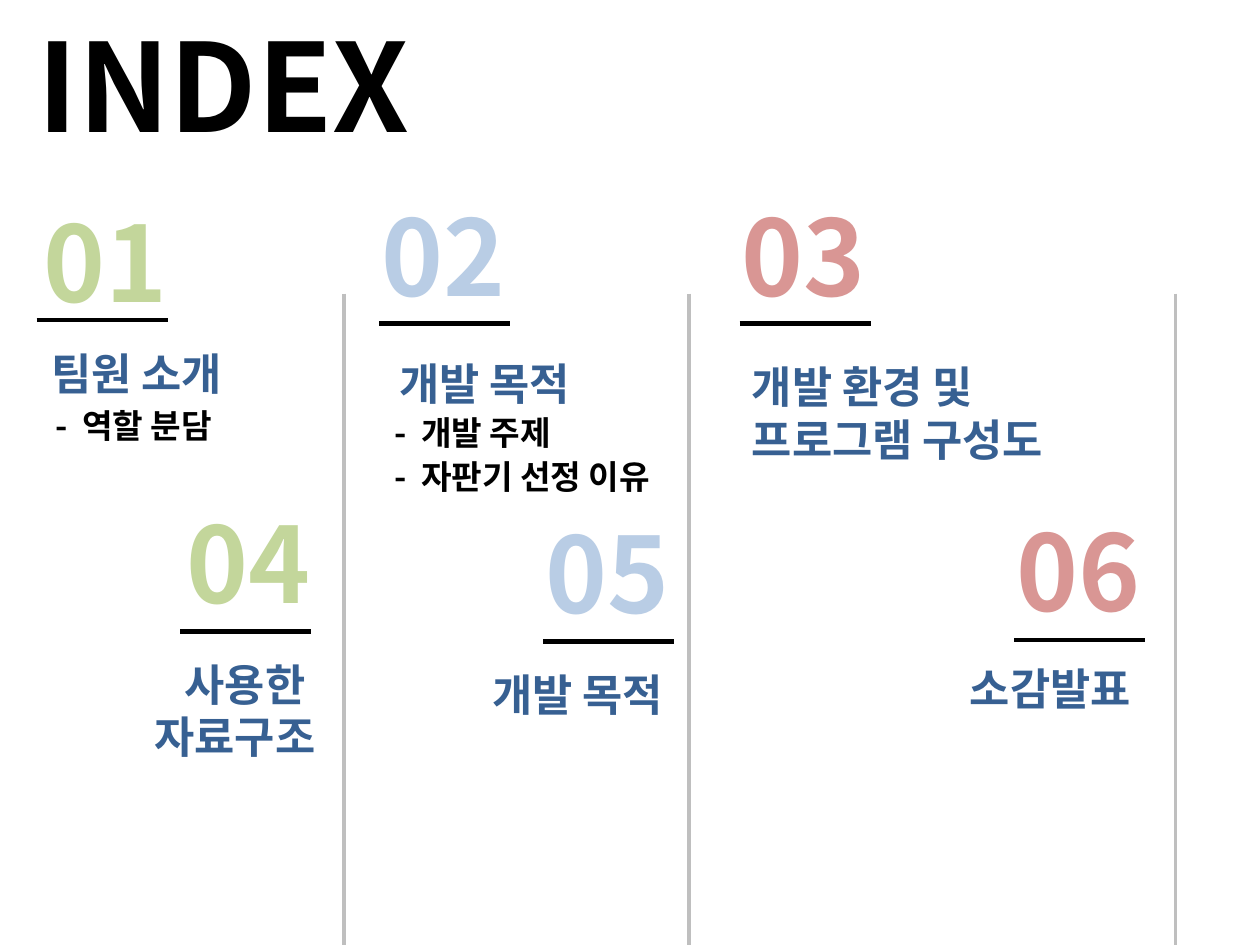
import pptx
import pptx.dml.color
import pptx.enum.shapes
import pptx.enum.text
import pptx.oxml
import pptx.oxml.ns
import pptx.util

Inches = pptx.util.Inches
RGBColor = pptx.dml.color.RGBColor
ALIGN = pptx.enum.text.PP_ALIGN

FONT = "Noto Sans CJK KR"
BLACK = RGBColor(0x00, 0x00, 0x00)
GREEN = RGBColor(0xC3, 0xD6, 0x9B)
SKY = RGBColor(0xB9, 0xCD, 0xE5)
ROSE = RGBColor(0xD9, 0x96, 0x94)
NAVY = RGBColor(0x37, 0x60, 0x92)
GRAY = RGBColor(0xBF, 0xBF, 0xBF)
NUMBER_SHADOW = RGBColor(0x80, 0x80, 0x80)
TOPIC_SHADOW = RGBColor(0xC6, 0xD9, 0xF1)

deck = pptx.Presentation()
deck.slide_width, deck.slide_height = Inches(10), Inches(7.5)
page = deck.slides.add_slide(deck.slide_layouts[6])


def add_text(place, lines, size, color, align=ALIGN.LEFT, shadow=None):
    """Add a bold text box; a leading "- " is tracked wider to set off the item."""
    box = page.shapes.add_textbox(*map(Inches, place))
    box.text_frame.word_wrap = True
    for index, line in enumerate(lines):
        para = box.text_frame.paragraphs[0] if index == 0 else box.text_frame.add_paragraph()
        para.alignment = align
        parts = ["- ", line[2:]] if line.startswith("- ") else [line]
        for part in parts:
            span = para.add_run()
            span.text = part
            looks = {"name": FONT, "size": pptx.util.Pt(size), "bold": True}
            for name, value in looks.items():
                setattr(span.font, name, value)
            span.font.color.rgb = color
            props = span.font._element
            if part == "- ":
                props.set("spc", "200")
            east_asian = pptx.oxml.parse_xml(
                f'<a:ea {pptx.oxml.ns.nsdecls("a")} typeface="{FONT}"/>')
            props.find(pptx.oxml.ns.qn("a:latin")).addnext(east_asian)
            if shadow is not None:
                effect = pptx.oxml.parse_xml(
                    f'<a:effectLst {pptx.oxml.ns.nsdecls("a")}>'
                    '<a:outerShdw blurRad="50800" dist="38100" dir="2700000">'
                    f'<a:srgbClr val="{shadow}"/></a:outerShdw></a:effectLst>')
                props.find(pptx.oxml.ns.qn("a:solidFill")).addnext(effect)


def add_line(left, top, right, bottom, color, width):
    line = page.shapes.add_connector(
        pptx.enum.shapes.MSO_CONNECTOR.STRAIGHT, *map(Inches, (left, top, right, bottom)))
    line.line.color.rgb = color
    line.line.width = pptx.util.Pt(width)
    line._element.spPr.append(
        pptx.oxml.parse_xml(f'<a:effectLst {pptx.oxml.ns.nsdecls("a")}/>'))


add_text((0.2, 0.03, 5.35, 1.28), ["INDEX"], 70, BLACK)

for divider_left in (2.73, 5.47, 9.33):
    add_line(divider_left, 2.33, divider_left, 7.54, GRAY, 2)

# number, its colour, its left and top, rule left and top, topic place, topic lines, alignment
sections = [
    ("01", GREEN, 0.25, 1.52, 0.29, 2.54, (0.31, 2.7, 2.09, 0.52), ["팀원 소개"], ALIGN.LEFT),
    ("02", SKY, 2.93, 1.47, 3.01, 2.57, (3.07, 2.78, 2.09, 0.52), ["개발 목적"], ALIGN.LEFT),
    ("03", ROSE, 5.79, 1.47, 5.87, 2.57, (5.87, 2.81, 3.46, 0.94),
     ["개발 환경 및", "프로그램 구성도"], ALIGN.LEFT),
    ("04", GREEN, 1.38, 3.91, 1.43, 5.01, (0.51, 5.17, 2.09, 0.94),
     ["사용한 ", "자료구조"], ALIGN.RIGHT),
    ("05", SKY, 4.23, 3.99, 4.31, 5.09, (3.27, 5.25, 2.09, 0.52), ["개발 목적"], ALIGN.RIGHT),
    ("06", ROSE, 7.97, 3.97, 8.05, 5.08, (7.6, 5.2, 3.46, 0.52), ["소감발표"], ALIGN.JUSTIFY),
]
for number, color, left, top, rule_left, rule_top, place, topic, align in sections:
    add_text((left, top, 1.2, 1.11), [number], 60, color, shadow=NUMBER_SHADOW)
    add_line(rule_left, rule_top, rule_left + 1.04, rule_top, BLACK, 2.75)
    add_text(place, topic, 25, NAVY, align, TOPIC_SHADOW)

details = [
    (0.34, 3.17, 1.78, "- 역할 분담"),
    (3.03, 3.22, 1.78, "- 개발 주제"),
    (3.03, 3.57, 2.52, "- 자판기 선정 이유"),
]
for left, top, width, detail in details:
    add_text((left, top, width, 0.42), [detail], 19, BLACK)

deck.save("out.pptx")
